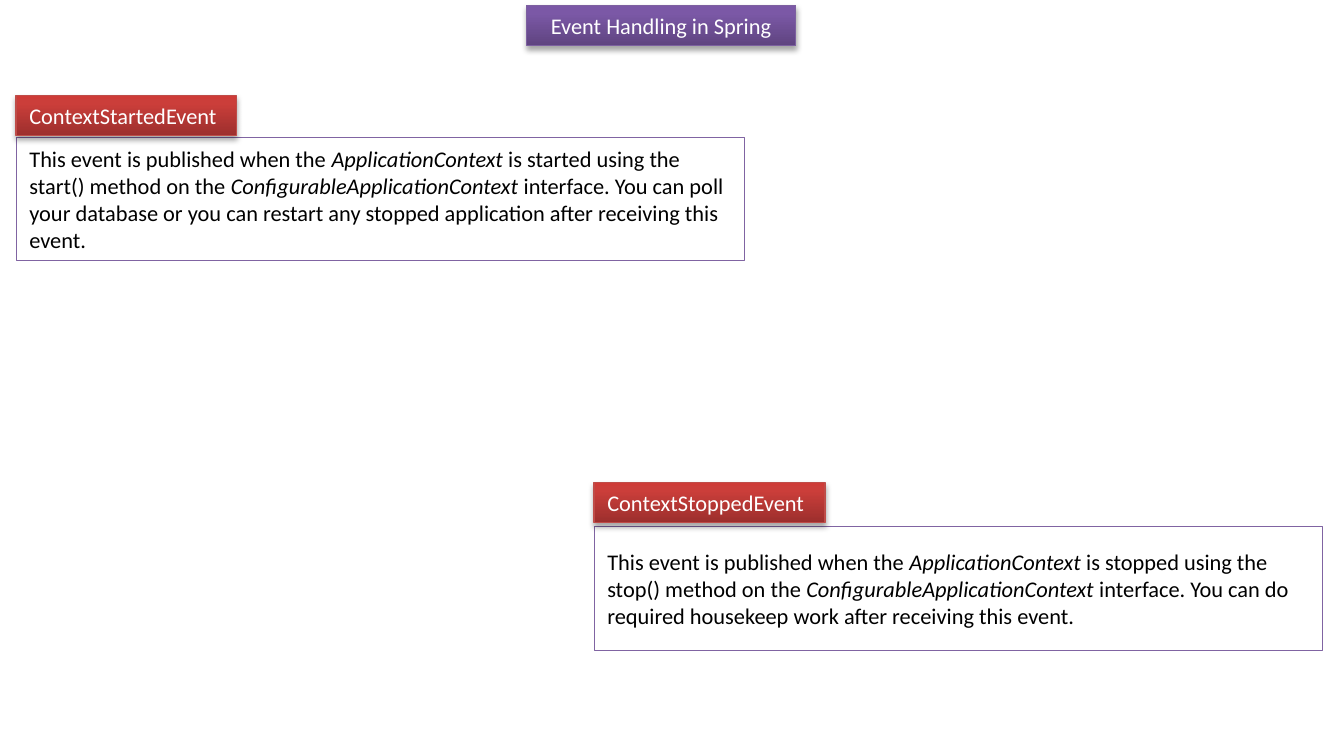
from copy import deepcopy
from dataclasses import dataclass

from lxml.etree import SubElement
from pptx import Presentation
from pptx.dml.color import RGBColor
from pptx.enum.shapes import MSO_SHAPE
from pptx.enum.text import MSO_ANCHOR, MSO_AUTO_SIZE, PP_ALIGN
from pptx.oxml.ns import qn
from pptx.shapes.autoshape import Shape
from pptx.slide import Slide
from pptx.util import Emu, Pt

EMU_PER_PX = 9144  # 100 px to the inch
FONT_NAME = "Calibri"
FONT_SIZE = 12
LABEL_HEIGHT = 30
BODY_WIDTH, BODY_HEIGHT = 542, 92

COLORS = {
    "white": "FFFFFF",
    "black": "000000",
    "body_line": "8064A2",
    "purple_dark": "5F4480",
    "purple_middle": "7B58A6",
    "purple_light": "7C57A8",
    "purple_line": "7D60A0",
    "red_dark": "9C2F2D",
    "red_middle": "CB3E3A",
    "red_light": "CE3B37",
    "red_line": "BF4C48",
}


@dataclass(frozen=True)
class TextRun:
    text: str
    italic: bool = False


@dataclass(frozen=True)
class Label:
    text: str
    left: int
    top: int
    width: int
    palette: str
    centered: bool = False


@dataclass(frozen=True)
class EventCard:
    label: Label
    body_top: int
    action: str
    advice: str


TITLE = Label("Event Handling in Spring", 392, 4, 200, "purple", centered=True)
EVENT_CARDS = [
    EventCard(
        Label("ContextStartedEvent", 12, 71, 164, "red"), 102, "start",
        "You can poll your database or you can restart any stopped application "
        "after receiving this event.",
    ),
    EventCard(
        Label("ContextStoppedEvent", 442, 359, 172, "red"), 392, "stop",
        "You can do required housekeep work after receiving this event.",
    ),
]


def px(length: int) -> Emu:
    return Emu(length * EMU_PER_PX)


def color(name: str) -> RGBColor:
    return RGBColor.from_string(COLORS[name])


def add_box(slide: Slide, left: int, top: int, width: int, height: int,
            line_color: str, line_width: float) -> Shape:
    shape = slide.shapes.add_shape(
        MSO_SHAPE.RECTANGLE, px(left), px(top), px(width), px(height))
    shape.shadow.inherit = False
    shape.line.color.rgb = color(line_color)
    shape.line.width = Pt(line_width)
    return shape


def write_runs(shape: Shape, runs: list[TextRun], text_color: str,
               alignment: PP_ALIGN = PP_ALIGN.LEFT) -> None:
    paragraph = shape.text_frame.paragraphs[0]
    paragraph.alignment = alignment
    for text_run in runs:
        run = paragraph.add_run()
        run.text = text_run.text
        run.font.name = FONT_NAME
        run.font.size = Pt(FONT_SIZE)
        run.font.italic = text_run.italic
        run.font.color.rgb = color(text_color)


def fill_gradient(shape: Shape, palette: str) -> None:
    """Fill from dark at the bottom to light at the top, in three stops."""
    shape.fill.gradient()
    shape.fill.gradient_angle = 90
    stop_list = shape.element.spPr.find(qn("a:gradFill")).find(qn("a:gsLst"))
    stop_list.append(deepcopy(stop_list[-1]))
    tones = [("dark", 0), ("middle", 0.8), ("light", 1)]
    for stop, (tone, position) in zip(shape.fill.gradient_stops, tones):
        stop.color.rgb = color(f"{palette}_{tone}")
        stop.position = position


def add_shadow(shape: Shape) -> None:
    effects = shape.element.spPr.find(qn("a:effectLst"))
    shadow = SubElement(effects, qn("a:outerShdw"), blurRad=str(Pt(3.1)),
                        dist=str(Pt(1.8)), dir="5400000", rotWithShape="0")
    shade = SubElement(shadow, qn("a:srgbClr"), val=COLORS["black"])
    SubElement(shade, qn("a:alpha"), val="35000")


def add_label(slide: Slide, label: Label) -> None:
    shape = add_box(slide, label.left, label.top, label.width, LABEL_HEIGHT,
                    f"{label.palette}_line", 0.75)
    fill_gradient(shape, label.palette)
    add_shadow(shape)
    frame = shape.text_frame
    frame.word_wrap = label.centered
    frame.auto_size = MSO_AUTO_SIZE.SHAPE_TO_FIT_TEXT
    frame.vertical_anchor = MSO_ANCHOR.TOP
    alignment = PP_ALIGN.CENTER if label.centered else PP_ALIGN.LEFT
    write_runs(shape, [TextRun(label.text)], "white", alignment)


def add_event_body(slide: Slide, card: EventCard) -> None:
    shape = add_box(slide, card.label.left, card.body_top, BODY_WIDTH,
                    BODY_HEIGHT, "body_line", 0.25)
    shape.fill.solid()
    shape.fill.fore_color.rgb = color("white")
    shape.text_frame.word_wrap = True
    shape.text_frame.vertical_anchor = MSO_ANCHOR.MIDDLE
    past = {"start": "started", "stop": "stopped"}[card.action]
    write_runs(shape, [
        TextRun("This event is published when the "),
        TextRun("ApplicationContext", italic=True),
        TextRun(f" is {past} using the {card.action}() method on the "),
        TextRun("ConfigurableApplicationContext ", italic=True),
        TextRun(f"interface. {card.advice}"),
    ], "black")


def main() -> None:
    presentation = Presentation()
    presentation.slide_width = px(1000)
    presentation.slide_height = px(550)
    slide = presentation.slides.add_slide(presentation.slide_layouts[6])
    add_label(slide, TITLE)
    for card in EVENT_CARDS:
        add_event_body(slide, card)
    for card in EVENT_CARDS:
        add_label(slide, card.label)
    presentation.save("out.pptx")


if __name__ == "__main__":
    main()
